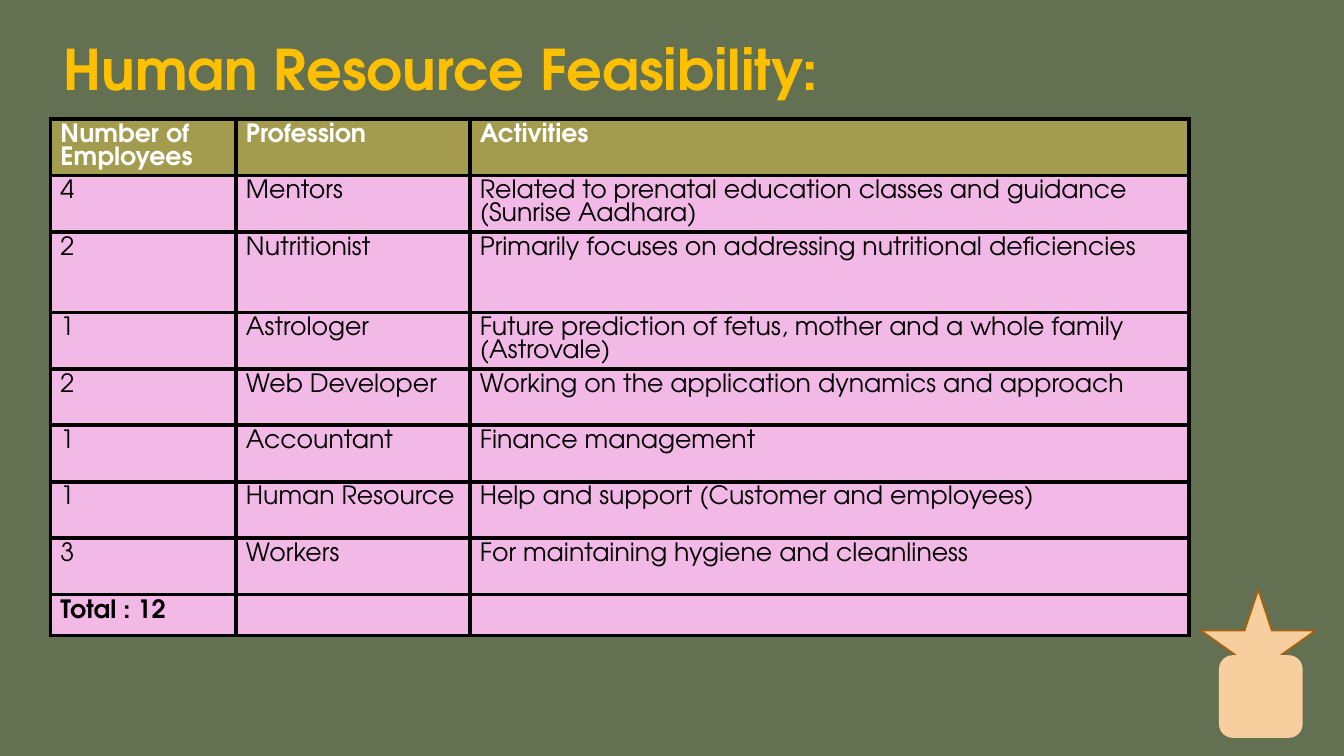
from pptx import Presentation, util as u
from pptx.dml.color import RGBColor
from pptx.enum import shapes, text
from pptx.oxml import parse_xml
from pptx.oxml.ns import nsdecls

FONT = "TeX Gyre Adventor"
COLOURS = {
    "background": "637052",
    "title": "FFC000",
    "header": "A39B4E",
    "body": "F2B8E6",
    "light": "FFFFFF",
    "dark": "000000",
    "badge": "F7CE9D",
    "badge_line": "A9610D",
}
STAFF = [
    ("Number of Employees", "Profession", "Activities"),
    ("4", "Mentors", "Related to prenatal education classes and guidance (Sunrise Aadhara)"),
    ("2", "Nutritionist", "Primarily focuses on addressing nutritional deficiencies"),
    ("1", "Astrologer", "Future prediction of fetus, mother and a whole family (Astrovale)"),
    ("2", "Web Developer", "Working on the application dynamics and approach"),
    ("1", "Accountant", "Finance management"),
    ("1", "Human Resource", "Help and support (Customer and employees)"),
    ("3", "Workers", "For maintaining hygiene and cleanliness"),
    ("Total : 12", "", ""),
]
COLUMN_WIDTHS = (1.84, 2.32, 7.13)
ROW_HEIGHTS = [0.56] * len(STAFF)
ROW_HEIGHTS[2], ROW_HEIGHTS[-1] = 0.8, 0.32


def colour(name):
    return RGBColor.from_string(COLOURS[name])


def write(frame, words, size=18, color="dark", bold=False, spacing=None, shadow=False):
    paragraph = frame.paragraphs[0]
    paragraph.alignment = text.PP_ALIGN.LEFT
    paragraph.line_spacing = spacing
    if not words:
        return
    run = paragraph.add_run()
    run.text = words
    run.font.name, run.font.size, run.font.bold = FONT, u.Pt(size), bold
    run.font.color.rgb = colour(color)
    if shadow:
        run.font.fill._xPr.solidFill.addnext(parse_xml(
            f'<a:effectLst {nsdecls("a")}><a:outerShdw blurRad="38100" dist="38100" dir="2700000">'
            '<a:srgbClr val="000000"><a:alpha val="43000"/></a:srgbClr></a:outerShdw></a:effectLst>'))


class FeasibilitySlide:
    """Draws styled elements on one slide, placed in cells of a grid of inches."""

    def __init__(self, presentation, columns=13.33, rows=7.5):
        presentation.slide_width = u.Inches(columns)
        presentation.slide_height = u.Inches(rows)
        self.column = presentation.slide_width / columns
        self.row = presentation.slide_height / rows
        self.slide = presentation.slides.add_slide(presentation.slide_layouts[5])
        self.slide.background.fill.solid()
        self.slide.background.fill.fore_color.rgb = colour("background")

    def box(self, left, top, width, height):
        return (round(left * self.column), round(top * self.row),
                round(width * self.column), round(height * self.row))

    def title(self, words, *place):
        shape = self.slide.shapes.title
        shape.left, shape.top, shape.width, shape.height = self.box(*place)
        frame = shape.text_frame
        frame.vertical_anchor = text.MSO_ANCHOR.BOTTOM
        frame.auto_size = text.MSO_AUTO_SIZE.NONE
        write(frame, words, size=40, color="title", bold=True, shadow=True)

    def border(self, cell, width=3):
        properties = cell._tc.get_or_add_tcPr()
        for side in "LRTB":
            properties.append(parse_xml(
                f'<a:ln{side} {nsdecls("a")} w="{u.Pt(width)}"><a:solidFill>'
                f'<a:srgbClr val="{COLOURS["dark"]}"/></a:solidFill></a:ln{side}>'))

    def table(self, rows, widths, heights, left, top):
        place = self.box(left, top, sum(widths), sum(heights))
        table = self.slide.shapes.add_table(len(rows), len(widths), *place).table
        for column, width in zip(table.columns, widths):
            column.width = round(width * self.column)
        for index, (row, words, height) in enumerate(zip(table.rows, rows, heights)):
            row.height = round(height * self.row)
            header = index == 0
            bold = header or index == len(rows) - 1
            for cell, entry in zip(row.cells, words):
                self.border(cell)
                cell.fill.solid()
                cell.fill.fore_color.rgb = colour("header" if header else "body")
                write(cell.text_frame, entry, color="light" if header else "dark",
                      bold=bold, spacing=u.Pt(16.5))

    def shape(self, kind, *place, line=None):
        shape = self.slide.shapes.add_shape(kind, *self.box(*place))
        shape.shadow.inherit = False
        shape.fill.solid()
        shape.fill.fore_color.rgb = colour("badge")
        if line:
            shape.line.color.rgb = colour(line)
            shape.line.width = u.Pt(1.25)
        else:
            shape.line.fill.background()


def main():
    presentation = Presentation()
    page = FeasibilitySlide(presentation)
    page.title("Human Resource Feasibility:", 0.53, 0, 11.56, 1.06)
    page.table(STAFF, COLUMN_WIDTHS, ROW_HEIGHTS, 0.5, 1.18)
    page.shape(shapes.MSO_SHAPE.STAR_5_POINT, 11.91, 5.85, 1.14, 1.06, line="badge_line")
    page.shape(shapes.MSO_SHAPE.ROUNDED_RECTANGLE, 12.09, 6.5, 0.83, 0.82)
    presentation.save("out.pptx")


if __name__ == "__main__":
    main()
